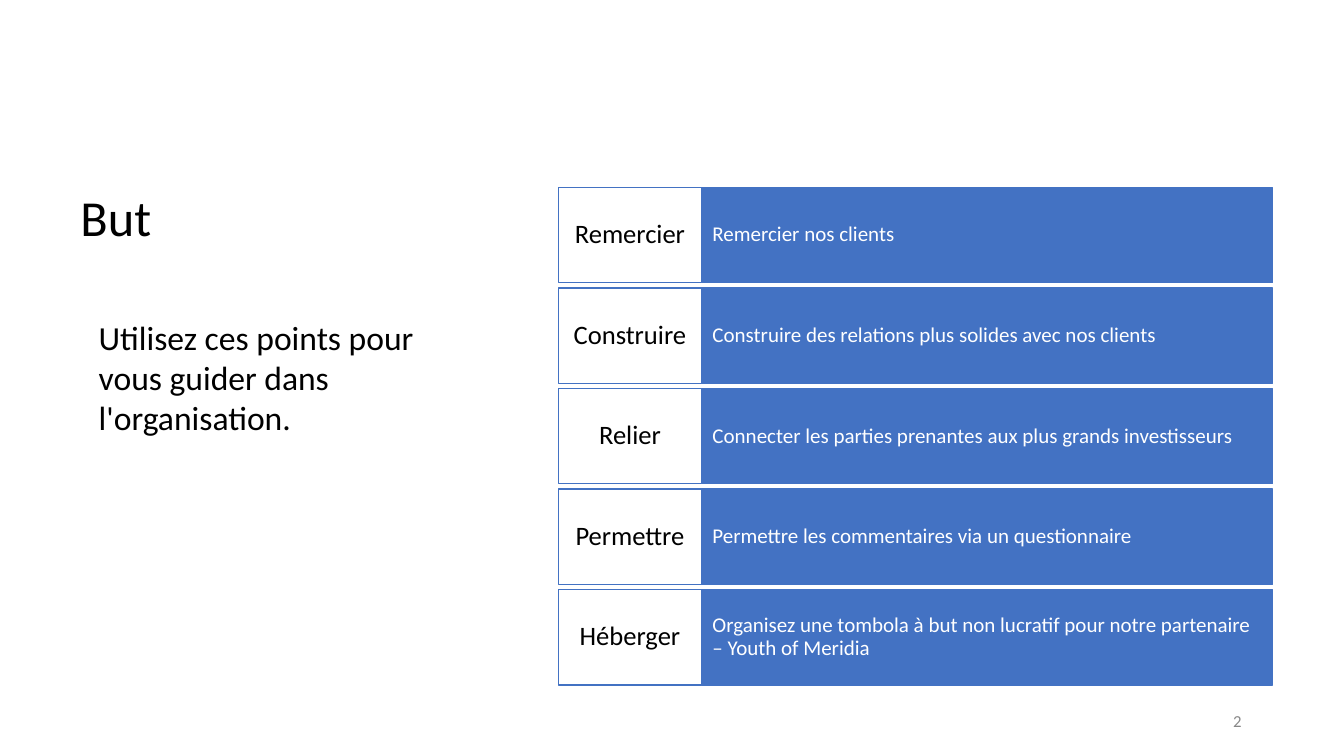
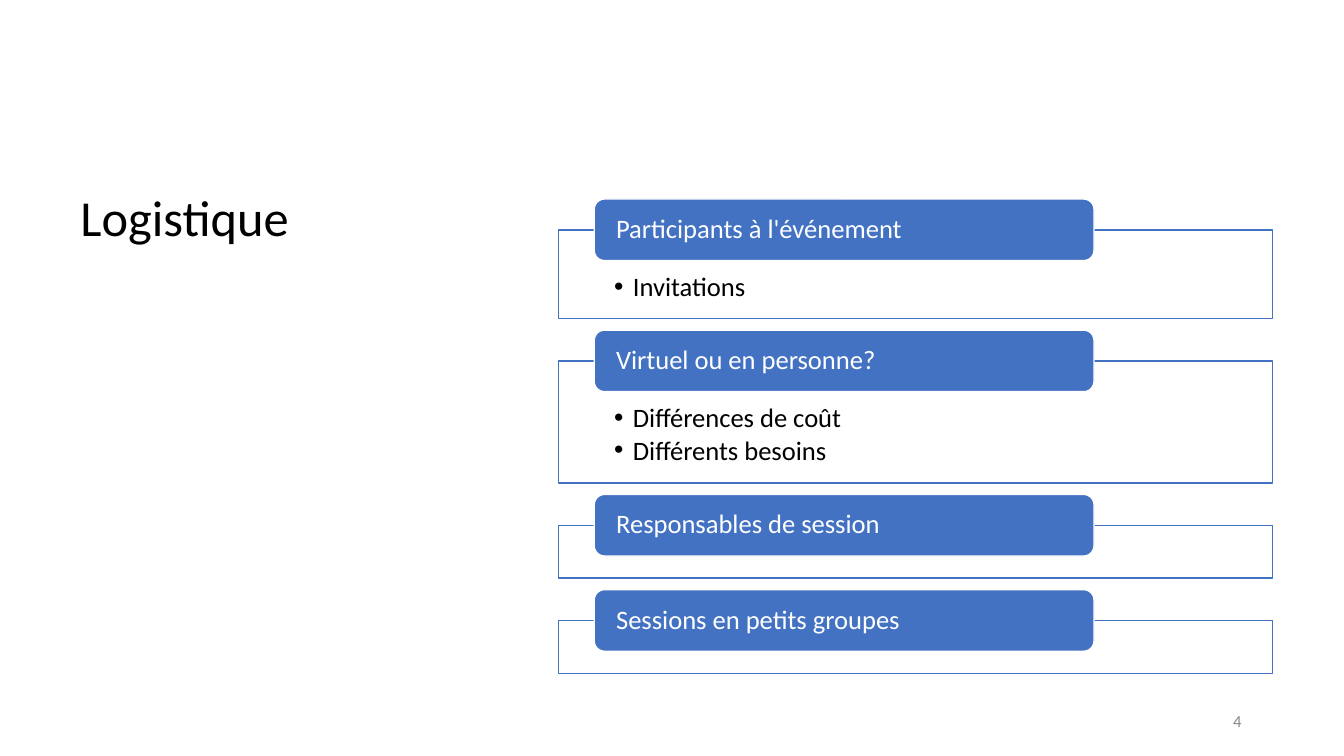
from dataclasses import dataclass

from lxml.etree import SubElement
from pptx import Presentation
from pptx.dml.color import RGBColor
from pptx.enum.shapes import MSO_SHAPE
from pptx.enum.text import MSO_ANCHOR, PP_ALIGN
from pptx.oxml.ns import qn
from pptx.util import Pt


@dataclass(frozen=True)
class Theme:
    font: str = "Calibri"
    blue: RGBColor = RGBColor(0x43, 0x72, 0xC3)
    white: RGBColor = RGBColor(0xFF, 0xFF, 0xFF)
    black: RGBColor = RGBColor(0, 0, 0)
    grey: RGBColor = RGBColor(0x88, 0x88, 0x88)
    title_size: int = 36
    intro_size: int = 24
    label_size: int = 19
    detail_size: int = 15
    number_size: int = 12


THEME = Theme()
BOX_INSETS = (7.2, 3.6, 7.2, 3.6)

# Diagram area shared by both slides
DIAGRAM_LEFT, DIAGRAM_WIDTH = 399, 510

GOALS = [
    ("Remercier", "Remercier nos clients"),
    ("Construire", "Construire des relations plus solides avec nos clients"),
    ("Relier", "Connecter les parties prenantes aux plus grands investisseurs"),
    ("Permettre", "Permettre les commentaires via un questionnaire"),
    ("Héberger", "Organisez une tombola à but non lucratif pour notre partenaire "
                 "– Youth of Meridia"),
]
TOPICS = [
    ("Participants à l'événement", ["Invitations"]),
    ("Virtuel ou en personne?", ["Différences de coût", "Différents besoins"]),
    ("Responsables de session", []),
    ("Sessions en petits groupes", []),
]


# Text
def set_bullet(paragraph):
    properties = paragraph._p.get_or_add_pPr()
    properties.set("marL", str(Pt(13.5)))
    properties.set("indent", str(Pt(-13.5)))
    SubElement(properties, qn("a:buFont"), typeface="Arial")
    SubElement(properties, qn("a:buChar"), char="•")


def write_text(shape, lines, size, color, insets=BOX_INSETS, align=PP_ALIGN.LEFT,
               anchor=MSO_ANCHOR.MIDDLE, line_spacing=0.9, bullets=False):
    frame = shape.text_frame
    frame.word_wrap = True
    frame.vertical_anchor = anchor
    (frame.margin_left, frame.margin_top,
     frame.margin_right, frame.margin_bottom) = map(Pt, insets)
    for index, line in enumerate(lines):
        paragraph = frame.add_paragraph() if index else frame.paragraphs[0]
        paragraph.alignment = align
        paragraph.line_spacing = line_spacing
        if bullets:
            paragraph.space_before = Pt(2.9 if index else 0)
            set_bullet(paragraph)
        run = paragraph.add_run()
        run.text = line
        run.font.name = THEME.font
        run.font.size = Pt(size)
        run.font.color.rgb = color


def add_text(slide, place, text, size, color=THEME.black, **style):
    box = slide.shapes.add_textbox(*map(Pt, place))
    write_text(box, [text], size, color, **style)


# Boxes
def add_box(slide, place, fill, line, kind=MSO_SHAPE.RECTANGLE):
    shape = slide.shapes.add_shape(kind, *map(Pt, place))
    shape.shadow.inherit = False
    shape.fill.solid()
    shape.fill.fore_color.rgb = fill
    shape.line.color.rgb = line
    shape.line.width = Pt(1)
    return shape


# Title and page number, common to every slide
def add_base_slide(presentation, title, number):
    slide = presentation.slides.add_slide(presentation.slide_layouts[6])
    add_text(slide, (50.4, 134, 312, 356), title, THEME.title_size,
             anchor=MSO_ANCHOR.TOP)
    add_text(slide, (678, 500.5, 216, 28.8), number, THEME.number_size, THEME.grey,
             align=PP_ALIGN.RIGHT, line_spacing=1.0)
    return slide


# Rows with a white label and a blue detail bar
def add_goal_rows(slide, goals):
    top, pitch, height, label_width = 134, 71.8, 68, 102
    for index, (label, detail) in enumerate(goals):
        row_top = top + index * pitch
        bar = add_box(slide, (DIAGRAM_LEFT + label_width, row_top,
                              DIAGRAM_WIDTH - label_width, height),
                      THEME.blue, THEME.blue)
        write_text(bar, [detail], THEME.detail_size, THEME.white,
                   insets=(7.9, 17.3, 7.9, 17.3))
        label_box = add_box(slide, (DIAGRAM_LEFT, row_top, label_width, height),
                            THEME.white, THEME.blue)
        write_text(label_box, [label], THEME.label_size, THEME.black,
                   insets=(5, 6.5, 5, 6.5), align=PP_ALIGN.CENTER)


# Outlined frames, each with a rounded header across its top edge
def add_topic_frames(slide, topics):
    header_height, gap = 44, 8.2
    rise = header_height / 2
    frame_top = 164.2
    for header, points in topics:
        frame_height = 39.6 + 23.8 * len(points) if points else 37.8
        frame = add_box(slide, (DIAGRAM_LEFT, frame_top, DIAGRAM_WIDTH, frame_height),
                        THEME.white, THEME.blue)
        if points:
            write_text(frame, points, THEME.label_size, THEME.black,
                       insets=(39.6, 31, 39.6, 10.8), anchor=MSO_ANCHOR.TOP,
                       bullets=True)
        header_box = add_box(slide, (DIAGRAM_LEFT + 25.5, frame_top - rise,
                                     DIAGRAM_WIDTH * 0.7, header_height),
                             THEME.blue, THEME.white, MSO_SHAPE.ROUNDED_RECTANGLE)
        write_text(header_box, [header], THEME.label_size, THEME.white,
                   insets=(13.5, 0, 13.5, 0))
        frame_top += frame_height + gap + rise


def main():
    presentation = Presentation()
    presentation.slide_width, presentation.slide_height = Pt(960), Pt(540)

    goal_slide = add_base_slide(presentation, "But", "2")
    add_goal_rows(goal_slide, GOALS)
    add_text(goal_slide, (63.4, 222.5, 250, 94.5),
             "Utilisez ces points pour vous guider dans l'organisation.",
             THEME.intro_size, anchor=MSO_ANCHOR.TOP, line_spacing=1.0)

    logistics_slide = add_base_slide(presentation, "Logistique", "4")
    add_topic_frames(logistics_slide, TOPICS)

    presentation.save("out.pptx")


if __name__ == "__main__":
    main()
